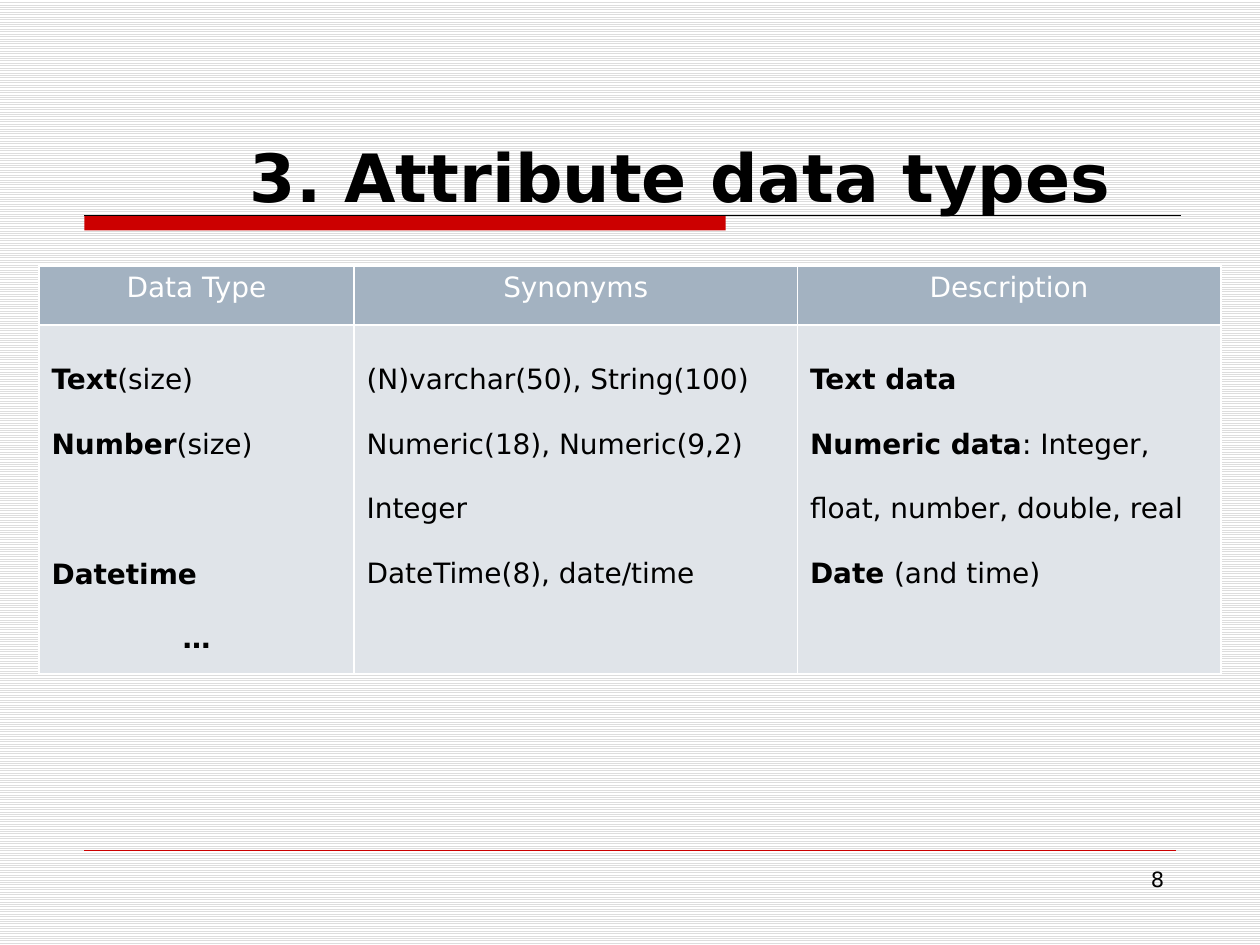
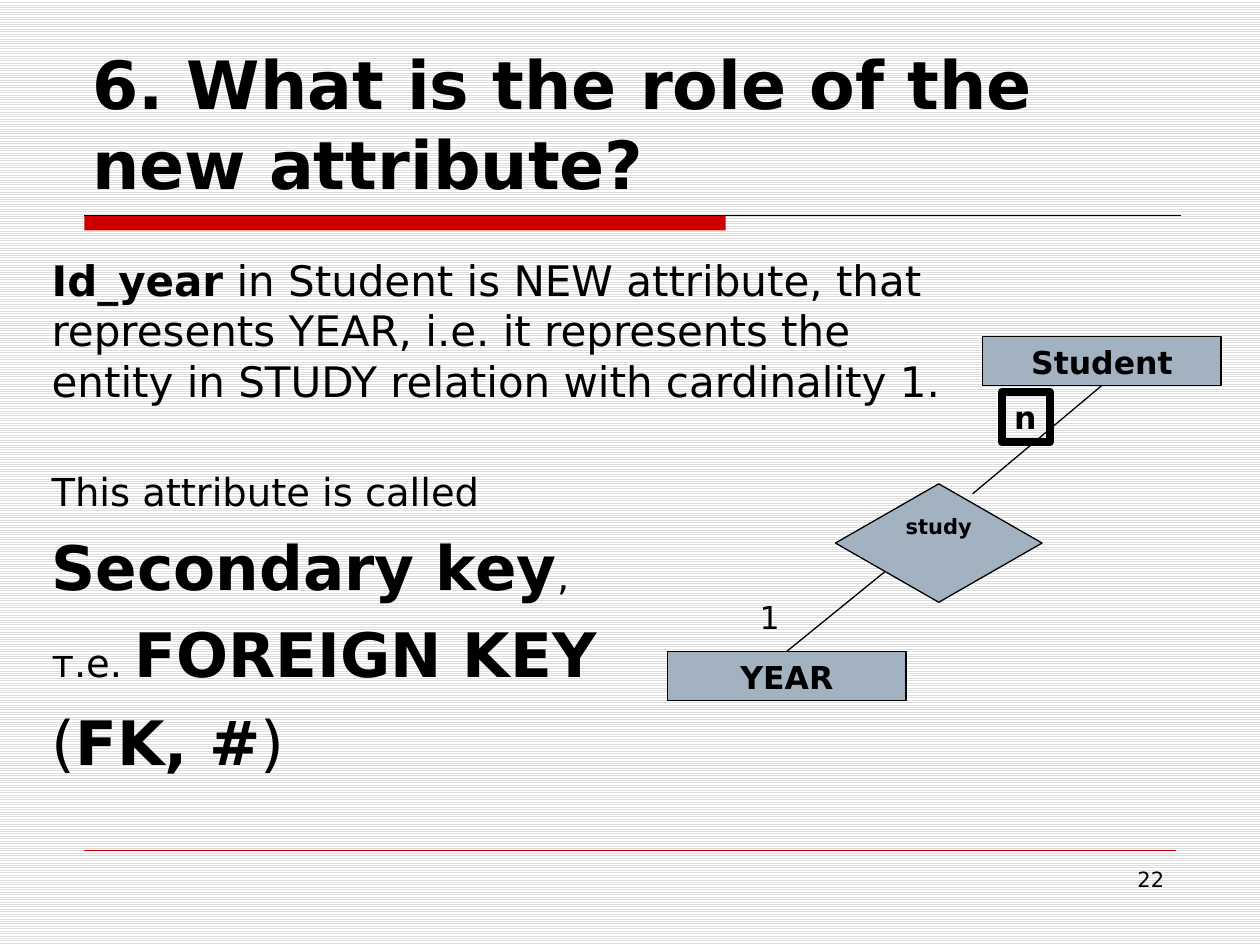
import dataclasses

import lxml.etree
import pptx
import pptx.dml.color
import pptx.enum.dml
import pptx.enum.shapes
import pptx.enum.text
import pptx.oxml.ns
import pptx.util

Pt = pptx.util.Pt
RGB = pptx.dml.color.RGBColor.from_string
ALIGN = pptx.enum.text.PP_ALIGN
ANCHOR = pptx.enum.text.MSO_ANCHOR
SHAPE = pptx.enum.shapes.MSO_SHAPE
qn = pptx.oxml.ns.qn


# Shared look
@dataclasses.dataclass(frozen=True)
class Theme:
    font: str = "DejaVu Sans"
    ink: str = "000000"
    paper: str = "FFFFFF"
    stripe: str = "DDDDDD"
    accent: str = "CC0000"
    steel: str = "A3B2C1"
    pale: str = "E0E4E9"
    title: float = 38
    lead: float = 24
    body: float = 22
    key: float = 35
    label: float = 18
    cell: float = 16
    small: float = 12
    thin: float = 0.75
    thick: float = 4.5


THEME = Theme()
LINE_HEIGHT = 1.164  # line height of the font, in ems


@dataclasses.dataclass
class Para:
    runs: list  # (text, bold) or (text, bold, size)
    align: ALIGN = ALIGN.LEFT
    before: float = 0
    spacing: float = 1


# Text
def write(frame, paras, size, color=THEME.ink, wrap=True, anchor=ANCHOR.TOP):
    frame.auto_size = pptx.enum.text.MSO_AUTO_SIZE.NONE
    frame.word_wrap = wrap
    frame.vertical_anchor = anchor
    for index, para in enumerate(paras):
        paragraph = frame.paragraphs[0] if index == 0 else frame.add_paragraph()
        paragraph.alignment = para.align
        paragraph.space_before = Pt(para.before)
        paragraph.line_spacing = para.spacing
        for text, bold, *own_size in para.runs:
            run = paragraph.add_run()
            run.text = text
            run.font.name = THEME.font
            run.font.size = Pt(own_size[0] if own_size else size)
            run.font.bold = bold
            run.font.color.rgb = RGB(color)


def place(shape, box):
    shape.left, shape.top, shape.width, shape.height = map(Pt, box)


def remove_bullets(frame):
    for paragraph in frame.paragraphs:
        properties = paragraph._p.get_or_add_pPr()
        properties.set("marL", "0")
        properties.set("indent", "0")
        lxml.etree.SubElement(properties, qn("a:buNone"))


def add_title(slide, text, box, align=ALIGN.LEFT):
    place(slide.shapes.title, box)
    write(slide.shapes.title.text_frame, [Para([(text, True)], align)],
          THEME.title, anchor=ANCHOR.BOTTOM)


def add_label(slide, text, box, size, align=ALIGN.LEFT, wrap=True):
    label = slide.shapes.add_textbox(*map(Pt, box))
    write(label.text_frame, [Para([(text, False)], align)], size, wrap=wrap)


def add_page_number(slide, number):
    add_label(slide, number, (516.2, 491.8, 156.2, 37.4), THEME.small, ALIGN.RIGHT)


# Shapes and lines
def add_block(slide, kind, box, fill=None, line=None, width=THEME.thin):
    block = slide.shapes.add_shape(kind, *map(Pt, box))
    block.shadow.inherit = False
    if fill:
        block.fill.solid()
        block.fill.fore_color.rgb = RGB(fill)
    else:
        block.fill.background()
    if line:
        block.line.color.rgb = RGB(line)
        block.line.width = Pt(width)
    else:
        block.line.fill.background()
    return block


def add_node(slide, text, kind, box, inset=None):
    node = add_block(slide, kind, box, THEME.steel, THEME.ink)
    frame = node.text_frame
    if inset is not None:
        frame.margin_left = frame.margin_right = Pt(inset)
        frame.margin_top = frame.margin_bottom = Pt(inset)
    size = THEME.small if kind == SHAPE.DIAMOND else THEME.label
    write(frame, [Para([(text, True)], ALIGN.CENTER)], size)
    return node


def add_line(slide, start, end, color=THEME.ink, width=THEME.thin):
    line = slide.shapes.add_connector(
        pptx.enum.shapes.MSO_CONNECTOR.STRAIGHT, *map(Pt, start + end))
    line.line.color.rgb = RGB(color)
    line.line.width = Pt(width)
    lxml.etree.SubElement(line.element.spPr, qn("a:effectLst"))
    return line


# Master: striped background, title band and footer rule
def dress_master(presentation, slide):
    master = presentation.slide_master
    stripes = master.background.fill
    stripes.patterned()
    stripes.pattern = pptx.enum.dml.MSO_PATTERN.LIGHT_HORIZONTAL
    stripes.fore_color.rgb = RGB(THEME.stripe)
    stripes.back_color.rgb = RGB(THEME.paper)

    left, band_top = 48.2, 123.1
    band = add_block(slide, SHAPE.RECTANGLE, (left, band_top, 366.5, 8.6), THEME.accent)
    title_rule = add_line(slide, (left, band_top), (674.6, band_top))
    footer_rule = add_line(slide, (left, 486), (671.8, 486), THEME.accent, 0.25)
    for index, part in enumerate((band, title_rule, footer_rule)):
        part.element.xpath(".//p:cNvPr")[0].set("id", str(101 + index))
        master.shapes.element.insert(2 + index, part.element)


# Table
def fill_cell(cell, paras, fill, color):
    properties = cell._tc.get_or_add_tcPr()
    for side in ("a:lnL", "a:lnR", "a:lnT", "a:lnB"):
        border = lxml.etree.SubElement(properties, qn(side), w=str(Pt(1)))
        solid = lxml.etree.SubElement(border, qn("a:solidFill"))
        lxml.etree.SubElement(solid, qn("a:srgbClr"), val=THEME.paper)
    cell.fill.solid()
    cell.fill.fore_color.rgb = RGB(fill)
    cell.margin_left = cell.margin_right = Pt(7.2)
    cell.margin_top = cell.margin_bottom = Pt(3.6)
    write_cell = cell.text_frame
    for_size = THEME.cell
    write(write_cell, paras, for_size, color)


def add_type_table(slide, headings, columns, widths, heights, left, top):
    table = slide.shapes.add_table(
        2, len(headings), Pt(left), Pt(top), Pt(sum(widths)), Pt(sum(heights))).table
    for row, height in zip(table.rows, heights):
        row.height = Pt(height)
    for index, (heading, paras) in enumerate(zip(headings, columns)):
        table.columns[index].width = Pt(widths[index])
        fill_cell(table.cell(0, index), [Para([(heading, False)], ALIGN.CENTER)],
                  THEME.steel, THEME.paper)
        fill_cell(table.cell(1, index), paras, THEME.pale, THEME.ink)


def double_spaced(*runs, **options):
    return Para(list(runs), spacing=2, **options)


# Slides
def build_data_types(slide):
    add_title(slide, "3. Attribute data types", (50.4, 74.9, 676.8, 51.8), ALIGN.CENTER)
    add_page_number(slide, "8")
    skipped_line = round(2 * LINE_HEIGHT * THEME.cell, 2)
    names = [
        double_spaced(("Text", True), ("(size)", False)),
        double_spaced(("Number", True), ("(size)", False)),
        double_spaced(("Datetime", True), before=skipped_line),
        double_spaced(("…", True), align=ALIGN.CENTER),
    ]
    synonyms = [double_spaced((text, False)) for text in (
        "(N)varchar(50), String(100)", "Numeric(18), Numeric(9,2)",
        "Integer", "DateTime(8), date/time")]
    descriptions = [
        double_spaced(("Text data", True)),
        double_spaced(("Numeric data", True),
                      (": Integer, float, number, double, real", False)),
        double_spaced(("Date ", True), ("(and time)", False)),
    ]
    add_type_table(slide, ("Data Type", "Synonyms", "Description"),
                   (names, synonyms, descriptions),
                   widths=(180, 253.4, 241.9), heights=(33.8, 199.4),
                   left=22.3, top=151.9)


def build_foreign_key(slide):
    add_title(slide, "6. What is the role of the new attribute?", (45.4, 23.8, 630, 95.8))
    add_page_number(slide, "22")

    # Explanation
    explanation = slide.placeholders[1]
    place(explanation, (22.3, 141.8, 545.8, 336.2))
    key, body = THEME.key, THEME.body
    key_gap = round(0.2 * LINE_HEIGHT * key, 1)
    write(explanation.text_frame, [
        Para([("Id_year", True, THEME.lead),
              (" in Student is NEW attribute, that represents YEAR, i.e. it represents "
               "the entity in STUDY relation with cardinality 1.", False, THEME.lead)]),
        Para([("This attribute is called", False)],
             before=round(1.4 * LINE_HEIGHT * body, 1)),
        Para([("Secondary key", True, key), (",", False)], before=key_gap),
        Para([("т.е. ", False), ("FOREIGN KEY", True, key)], before=key_gap),
        Para([("(", False, key), ("FK, #", True, key), (")", False, key)], before=key_gap),
    ], body)
    remove_bullets(explanation.text_frame)

    # Entities and their relation
    entity_size = (136.1, 28.1)
    student = add_node(slide, "Student", SHAPE.RECTANGLE, (561.6, 192.2) + entity_size)
    year = add_node(slide, "YEAR", SHAPE.RECTANGLE, (381.6, 372.2) + entity_size)
    add_node(slide, "study", SHAPE.DIAMOND, (477.4, 276.5, 118.1, 67.7), inset=0)
    add_line(slide, (555.8, 282.2), (629.6, 220.3)).end_connect(student, 2)
    add_line(slide, (505.4, 326.9), (449.6, 372.2)).end_connect(year, 0)

    # Cardinalities
    many = add_block(slide, SHAPE.RECTANGLE, (572.4, 223.9, 27.4, 28.8),
                     line=THEME.ink, width=THEME.thick)
    write(many.text_frame, [Para([("n", True)])], THEME.label, wrap=False)
    add_label(slide, "1", (427, 338.4, 25.9, 28.8), THEME.label, wrap=False)


def main():
    presentation = pptx.Presentation()
    presentation.slide_width, presentation.slide_height = Pt(720), Pt(540)
    title_only, title_and_body = (presentation.slide_layouts[i] for i in (5, 1))
    data_types = presentation.slides.add_slide(title_only)
    foreign_key = presentation.slides.add_slide(title_and_body)
    dress_master(presentation, data_types)
    build_data_types(data_types)
    build_foreign_key(foreign_key)
    presentation.save("out.pptx")


if __name__ == "__main__":
    main()
